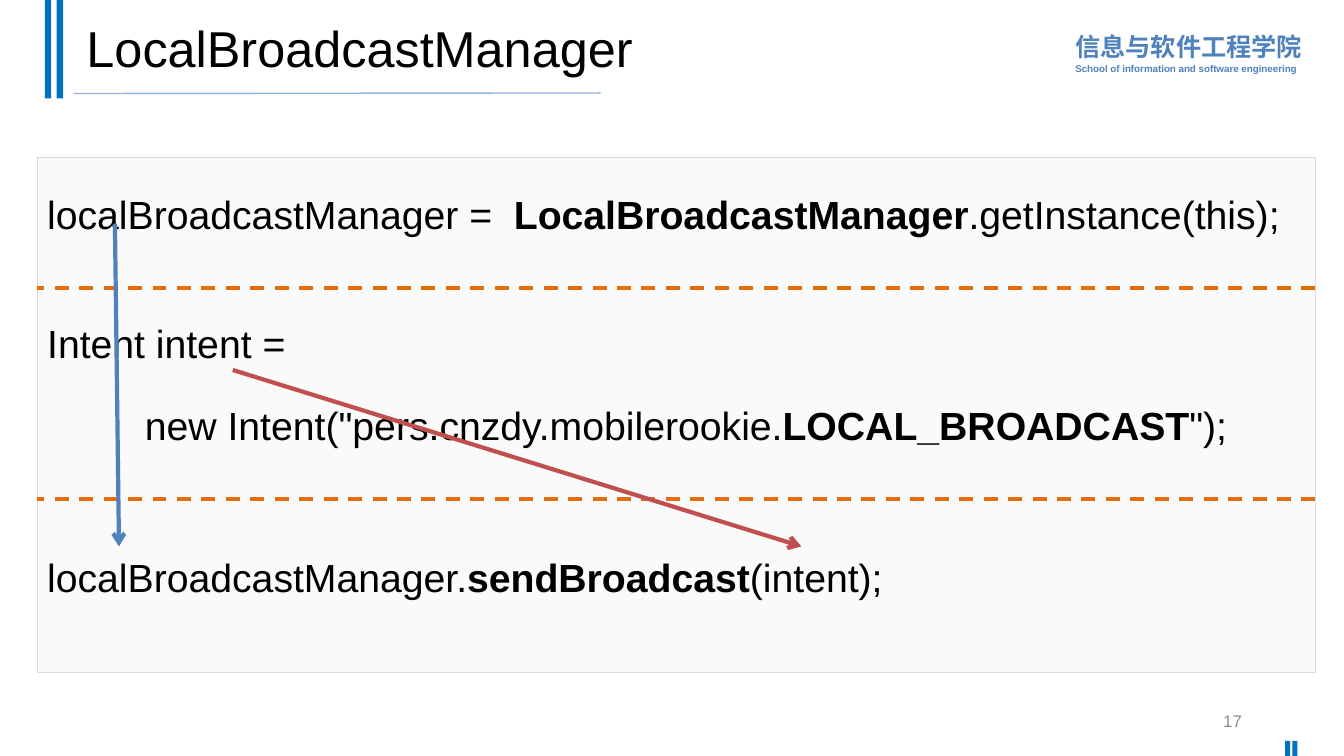
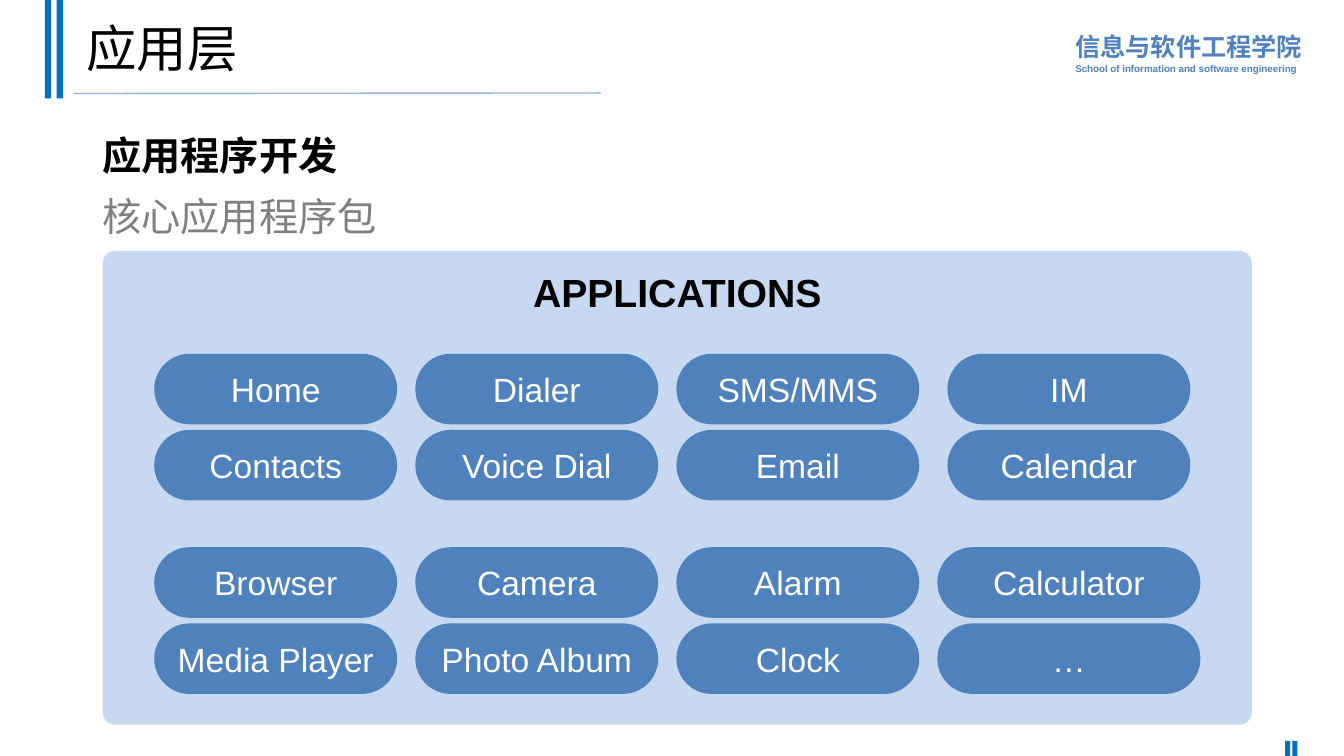
from lxml.etree import SubElement
from pptx import Presentation
from pptx.dml.color import RGBColor
from pptx.enum.dml import MSO_LINE
from pptx.enum.shapes import MSO_CONNECTOR, MSO_SHAPE
from pptx.enum.text import MSO_ANCHOR, PP_ALIGN
from pptx.oxml.ns import qn
from pptx.util import Pt

FONT = "Arial"
BLACK, WHITE, GRAY, NUMBER_GRAY = "000000", "FFFFFF", "808080", "8C8C8C"
BLUE, BAND_BLUE, RULE_BLUE, PANEL_BLUE = "4F81BD", "0070C0", "95B3D7", "C6D9F1"
ORANGE, RED = "E46C0A", "C0504D"
CODE_FILL, CODE_LINE = "FAFAFA", "DBD9DC"

TITLE_BOX = (54.7, 5, 828, 63.4)
SCHOOL_BOX = (761, 16.6, 176.4, 40.3)
CODE_BOX = (26.6, 112.3, 913, 367.9)
NUMBER_BOX = (678.2, 500.4, 216, 28.8)
HEADING_BOX = (66.2, 79.9, 612, 99.4)
PANEL_BOX = (73.4, 179.3, 820.8, 338.4)


def color(value):
    return RGBColor.from_string(value)


# Basic parts
def add_box(shapes, box, fill, line=None, kind=MSO_SHAPE.RECTANGLE, corner=None):
    shape = shapes.add_shape(kind, *map(Pt, box))
    shape.shadow.inherit = False
    shape.fill.solid()
    shape.fill.fore_color.rgb = color(fill)
    if line:
        shape.line.color.rgb = color(line)
        shape.line.width = Pt(0.75)
    else:
        shape.line.fill.background()
    if corner is not None:
        shape.adjustments[0] = corner
    return shape


def add_line(shapes, start, end, line, width, dashed=False, arrow=False):
    connector = shapes.add_connector(MSO_CONNECTOR.STRAIGHT, *map(Pt, start + end))
    connector.line.color.rgb = color(line)
    connector.line.width = Pt(width)
    if dashed:
        connector.line.dash_style = MSO_LINE.DASH
    if arrow:
        SubElement(connector.line._get_or_add_ln(), qn("a:tailEnd"), type="arrow")
    SubElement(connector._element.spPr, qn("a:effectLst"))


def set_text(shape, paragraphs, align=PP_ALIGN.LEFT, anchor=MSO_ANCHOR.TOP,
             spacing=1.0, gaps=(), wrap=True):
    """Each paragraph is a list of runs: (text, size, color, bold)."""
    frame = shape.text_frame
    frame.word_wrap = wrap
    frame.vertical_anchor = anchor
    for index, runs in enumerate(paragraphs):
        paragraph = frame.add_paragraph() if index else frame.paragraphs[0]
        paragraph.alignment = align
        paragraph.line_spacing = spacing
        if index and gaps:
            paragraph.space_before = Pt(gaps[index - 1])
        for text, size, text_color, bold in runs:
            run = paragraph.add_run()
            run.text = text
            run.font.name = FONT
            run.font.size = Pt(size)
            run.font.bold = bold
            run.font.color.rgb = color(text_color)
    return frame


def add_text(shapes, box, paragraphs, **style):
    return set_text(shapes.add_textbox(*map(Pt, box)), paragraphs, **style)


# Frame shared by all slides
def add_framed_slide(presentation, title):
    slide = presentation.slides.add_slide(presentation.slide_layouts[6])
    shapes = slide.shapes
    school = add_text(shapes, SCHOOL_BOX, [
        [("信息与软件工程学院", 18, BLUE, True)],
        [("School of information and software engineering", 7, BLUE, True)],
    ], spacing=1.1)
    school.margin_right = 0
    for left in (32, 40.5):
        add_box(shapes, (left, 0, 4.6, 70.3), BAND_BLUE)
    for left in (918, 923.2):
        add_box(shapes, (left, 529.2, 3.5, 10.8), BAND_BLUE)
    add_line(shapes, (52.8, 66.8), (429, 66.4), RULE_BLUE, 1)
    add_text(shapes, TITLE_BOX, [[(title, 36, BLACK, False)]],
             anchor=MSO_ANCHOR.MIDDLE, spacing=0.9)
    return slide


# Code listing with dashed dividers and arrows between uses of a variable
def add_code(shapes, box):
    left, top, width, height = box
    lines = [
        [("localBroadcastManager =  ", False), ("LocalBroadcastManager", True),
         (".getInstance(this);", False)],
        [("Intent intent =", False)],
        [('         new Intent("pers.cnzdy.mobilerookie.', False),
         ("LOCAL_BROADCAST", True), ('");', False)],
        [("localBroadcastManager.", False), ("sendBroadcast", True),
         ("(intent);", False)],
    ]
    paragraphs = [[(text, 28, BLACK, bold) for text, bold in line] for line in lines]
    listing = add_box(shapes, box, CODE_FILL, CODE_LINE)
    frame = set_text(listing, paragraphs, spacing=1.5, gaps=(42, 8, 58))
    frame.margin_top = Pt(6.5)

    for offset in (93.6, 244.1):
        add_line(shapes, (left + width, top + offset), (left, top + offset),
                 ORANGE, 2.5, dashed=True)
    arrows = [((55.5, 47.5), (58.4, 278), BLUE), ((139.7, 152), (545.8, 278), RED)]
    for (start_x, start_y), (end_x, end_y), line in arrows:
        add_line(shapes, (left + start_x, top + start_y), (left + end_x, top + end_y),
                 line, 3, arrow=True)


# Panel of application pills: two blocks of two rows
def add_applications(shapes, box):
    left, top, width, height = box
    group = shapes.add_group_shape().shapes
    add_box(group, box, PANEL_BLUE, kind=MSO_SHAPE.ROUNDED_RECTANGLE, corner=0.026)
    add_text(group, (left + 298.8, top + 8.6, 223.2, 41),
             [[("APPLICATIONS", 28, BLACK, True)]], align=PP_ALIGN.CENTER, wrap=False)

    rows = [
        ["Home", "Dialer", "SMS/MMS", "IM"],
        ["Contacts", "Voice Dial", "Email", "Calendar"],
        ["Browser", "Camera", "Alarm", "Calculator"],
        ["Media Player", "Photo Album", "Clock", "…"],
    ]
    centers = (123.5, 310, 496.5, 690.1)
    for row, names in enumerate(rows):
        block, line = divmod(row, 2)
        pill_top = top + 73.4 + block * 138.2 + line * 54.4
        for column, name in enumerate(names):
            pill_width = 187.9 if block == 1 and column == 3 else 173.5
            pill_left = left + centers[column] - pill_width / 2
            pill = add_box(group, (pill_left, pill_top, pill_width, 50.4), BLUE,
                           kind=MSO_SHAPE.ROUNDED_RECTANGLE, corner=0.5)
            frame = set_text(pill, [[(name, 24, WHITE, False)]],
                             align=PP_ALIGN.CENTER, anchor=MSO_ANCHOR.MIDDLE)
            frame.margin_left = frame.margin_right = 0


# Slides
def add_code_slide(presentation):
    shapes = add_framed_slide(presentation, "LocalBroadcastManager").shapes
    add_code(shapes, CODE_BOX)
    add_text(shapes, NUMBER_BOX, [[("17", 12, NUMBER_GRAY, False)]],
             align=PP_ALIGN.RIGHT, anchor=MSO_ANCHOR.MIDDLE)


def add_application_slide(presentation):
    shapes = add_framed_slide(presentation, "应用层").shapes
    add_text(shapes, HEADING_BOX, [
        [("应用程序开发", 28, BLACK, True)],
        [("核心应用程序包", 28, GRAY, False)],
    ], spacing=1.3)
    add_applications(shapes, PANEL_BOX)


def main():
    presentation = Presentation()
    presentation.slide_width = Pt(960)
    presentation.slide_height = Pt(540)
    add_code_slide(presentation)
    add_application_slide(presentation)
    presentation.save("out.pptx")


if __name__ == "__main__":
    main()
